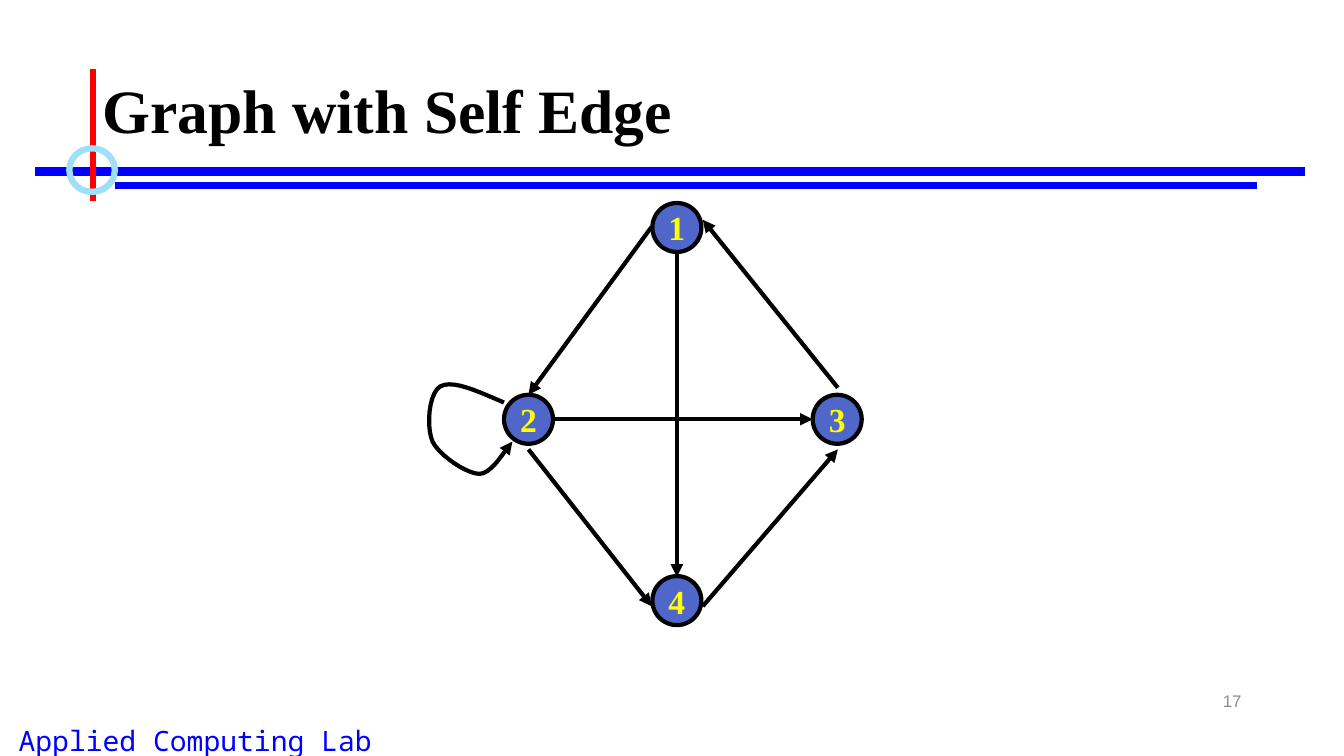
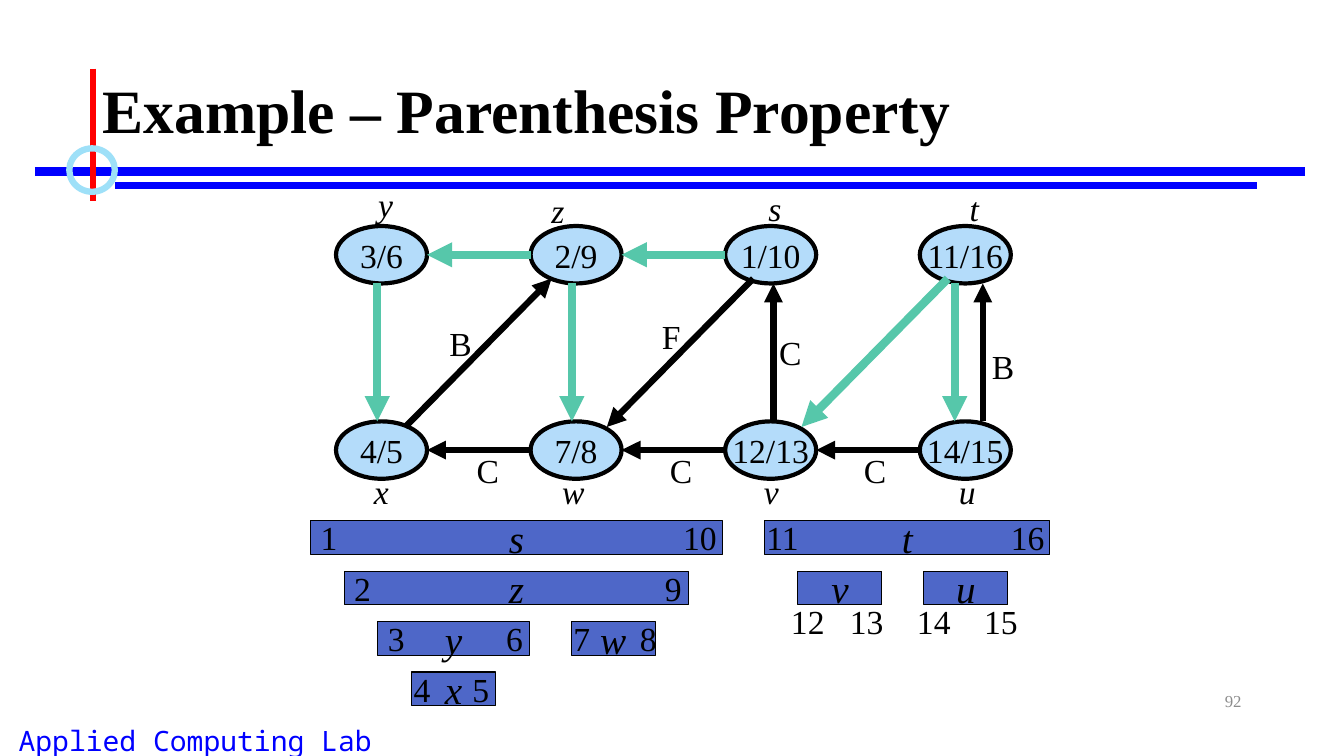
from itertools import accumulate

from lxml import etree
from pptx import Presentation
from pptx.dml.color import RGBColor
from pptx.enum.shapes import MSO_CONNECTOR, MSO_SHAPE
from pptx.enum.text import MSO_ANCHOR, MSO_AUTO_SIZE, PP_ALIGN
from pptx.oxml.ns import qn
from pptx.util import Pt

STRAIGHT = MSO_CONNECTOR.STRAIGHT
OVAL, RECT = MSO_SHAPE.OVAL, MSO_SHAPE.RECTANGLE
TOP, MIDDLE = MSO_ANCHOR.TOP, MSO_ANCHOR.MIDDLE
LEFT, CENTER, RIGHT = PP_ALIGN.LEFT, PP_ALIGN.CENTER, PP_ALIGN.RIGHT
FIXED = MSO_AUTO_SIZE.NONE

SERIF, SANS, MONO = "Times New Roman", "Arial", "Noto Sans Mono"
BLACK, BLUE, RED, YELLOW = "000000", "0000FF", "FF0000", "FFFF00"
INDIGO, SKY, PALE, TEAL, GRAY = "4E67C8", "9EE0F8", "B4DCFA", "56C7AA", "8C8C8C"

# Shared frame: x1, y1, x2, y2, colour, width
RULES = [
    (25, 122.5, 932.5, 122.5, BLUE, 6),
    (82, 132.5, 898, 132.5, BLUE, 4.5),
    (66.5, 49, 66.5, 143.5, RED, 4.5),
]

# Self-edge graph: node centres, edges as end points, loop as cubic curves
SIZE = 35
NODES = {"1": (483.5, 162.5), "2": (377.5, 299.5),
         "3": (598, 299.5), "4": (483.5, 429)}
EDGES = [
    (483.5, 180, 483.5, 412), (395, 299.5, 580.5, 299.5),
    (465.5, 162, 377.5, 282), (377.5, 321, 465.5, 433),
    (502, 433, 598.5, 321), (598.5, 277, 502, 157),
]
LOOP = [
    [(360, 287.5), (341, 279.5), (323.5, 271), (314.5, 276)],
    [(314.5, 276), (306, 281), (304.5, 305.5), (309, 315.5)],
    [(309, 315.5), (314, 325.5), (333.5, 338.5), (342.5, 338.5)],
    [(342.5, 338.5), (352, 338.5), (362, 319), (366, 315.5)],
]

# Search graph: rows of visit times on a grid
ROWS = [["3/6", "2/9", "1/10", "11/16"], ["4/5", "7/8", "12/13", "14/15"]]
X0, STEP, WIDE = 240, 139, 65
ROW_TOP, TALL = [161.5, 301], 41
ACROSS = [(0, 0, TEAL), (0, 1, TEAL), (1, 0, BLACK), (1, 1, BLACK), (1, 2, BLACK)]
OTHER = [
    (269.5, 202.5, 269.5, 301, TEAL), (408.5, 202.5, 408.5, 301, TEAL),
    (682, 202.5, 682, 301, TEAL), (552.5, 301, 552.5, 202.5, BLACK),
    (702, 301, 702, 202.5, BLACK), (289.5, 305, 394, 199, BLACK),
    (538, 199, 433.5, 305, BLACK), (677, 199, 572.5, 305, TEAL),
]
NAMES = [
    ("y", 275.5, 127.5), ("z", 398.5, 132), ("s", 553.5, 131), ("t", 696, 131),
    ("x", 272.5, 332.5), ("w", 409.5, 332.5), ("v", 551, 332.5), ("u", 691, 332.5),
]
KINDS = [
    ("B", 329, 227), ("F", 479.5, 222), ("C", 564.5, 233.5), ("B", 716.5, 243.5),
    ("C", 348.5, 317.5), ("C", 486.5, 317.5), ("C", 625, 317.5),
]

# Intervals: each vertex opens and closes once; gaps lead to each event
EVENTS = "szyxxywwzstvvuut"
GAPS = [222, 24, 24, 24, 60, 24, 30, 60, 24, 24, 30, 24, 60, 30, 60, 30]
BAR_TOP, BAR_STEP, BAR_TALL = 372, 36, 24
# Number centres from the bar's left and right ends, and from its top
INSETS = {
    "s": (13, -16, -6), "z": (13, -11, -6), "y": (13, -10.5, -6),
    "x": (7.5, -10.5, -6), "w": (7.5, -5, -6), "t": (13, -16, -6),
    "v": (7, -11, 18), "u": (7, -5, 18),
}


def color(code):
    return RGBColor.from_string(code)


def write(shape, text, size, font=SERIF, ink=BLACK, align=CENTER, anchor=TOP,
          bold=False, italic=False, wrap=False):
    frame = shape.text_frame
    frame.text = text
    frame.auto_size = FIXED
    frame.word_wrap = wrap
    frame.vertical_anchor = anchor
    para = frame.paragraphs[0]
    para.alignment = align
    face = para.runs[0].font
    face.name, face.size = font, Pt(size)
    face.bold, face.italic = bold, italic
    face.color.rgb = color(ink)
    return para


def box(slide, x, y, w, h, text, size, **style):
    shape = slide.shapes.add_textbox(Pt(x), Pt(y), Pt(w), Pt(h))
    write(shape, text, size, **style)


def label(slide, text, x, y, italic=False):
    """Add a short text centred on x."""
    box(slide, x - 22, y, 44, 36, text, 24, italic=italic)


def stroke(item, ink, width, arrow=False):
    item.line.color.rgb = color(ink)
    item.line.width = Pt(width)
    props = item._element.spPr
    if arrow:
        etree.SubElement(props.find(qn("a:ln")), qn("a:tailEnd"), type="triangle")
    return props


def line(slide, x1, y1, x2, y2, ink=BLACK, width=3, arrow=True):
    item = slide.shapes.add_connector(STRAIGHT, Pt(x1), Pt(y1), Pt(x2), Pt(y2))
    props = stroke(item, ink, width, arrow)
    etree.SubElement(props, qn("a:effectLst"))


def block(slide, kind, x, y, w, h, fill, ink=BLACK, width=3):
    shape = slide.shapes.add_shape(kind, Pt(x), Pt(y), Pt(w), Pt(h))
    shape.shadow.inherit = False
    if fill:
        shape.fill.solid()
        shape.fill.fore_color.rgb = color(fill)
    else:
        shape.fill.background()
    stroke(shape, ink, width)
    return shape


def start(deck, title, number, font):
    """Add a slide with the shared frame, title and number."""
    slide = deck.slides.add_slide(deck.slide_layouts[5])
    head = slide.shapes.title
    head.left, head.top, head.width, head.height = Pt(66), Pt(29), Pt(828), Pt(104)
    para = write(head, title, 44, align=LEFT, anchor=MIDDLE, bold=True, wrap=True)
    para.line_spacing = 0.9
    box(slide, 0, 513.5, 279, 26, "Applied Computing Lab", 20, font=MONO, ink=BLUE)
    for rule in RULES:
        line(slide, *rule, arrow=False)
    block(slide, OVAL, 49.5, 106, 32.5, 31, None, SKY, 4.5)
    box(slide, 678, 486, 216, 29, number, 12, font=font, ink=GRAY,
        align=RIGHT, anchor=MIDDLE, wrap=True)
    return slide


def bezier(curve, t):
    s = 1 - t
    parts = (s ** 3, 3 * s * s * t, 3 * s * t * t, t ** 3)
    return tuple(Pt(sum(k * p[axis] for k, p in zip(parts, curve)))
                 for axis in (0, 1))


def loop(slide):
    dots = [bezier(curve, i / 10) for curve in LOOP for i in range(1, 11)]
    path = slide.shapes.build_freeform(*bezier(LOOP[0], 0))
    path.add_line_segments(dots, close=False)
    shape = path.convert_to_shape()
    shape.shadow.inherit = False
    shape.fill.background()
    stroke(shape, BLACK, 3, arrow=True)


def self_edge(deck):
    slide = start(deck, "Graph with Self Edge", "17", SANS)
    for name, (x, y) in NODES.items():
        node = block(slide, OVAL, x - SIZE / 2, y - SIZE / 2, SIZE, SIZE, INDIGO)
        write(node, name, 24, ink=YELLOW, anchor=MIDDLE, bold=True)
    for edge in EDGES:
        line(slide, *edge)
    loop(slide)


def search(slide):
    for row, top in zip(ROWS, ROW_TOP):
        for col, times in enumerate(row):
            node = block(slide, OVAL, X0 + col * STEP, top, WIDE, TALL, PALE)
            write(node, times, 24, anchor=MIDDLE)
    paths = list(OTHER)
    for row, col, ink in ACROSS:
        y = ROW_TOP[row] + TALL / 2
        end = X0 + col * STEP
        paths.append((end + STEP, y, end + WIDE, y, ink))
    for *ends, ink in paths:
        line(slide, *ends, ink, 6 if ink == TEAL else 4.5)
    for name in NAMES:
        label(slide, *name, italic=True)
    for kind in KINDS:
        label(slide, *kind)


def spans(slide):
    """Draw one bar per vertex, nested by open and close time."""
    stack = []
    for time, (name, x) in enumerate(zip(EVENTS, accumulate(GAPS)), 1):
        if not stack or stack[-1][0] != name:
            stack.append((name, time, x))
            continue
        _, first, left = stack.pop()
        top = BAR_TOP + len(stack) * BAR_STEP
        bar = block(slide, RECT, left, top, x - left, BAR_TALL, INDIGO, BLACK, 0.75)
        write(bar, name, 28, anchor=MIDDLE, italic=True)
        begin, end, drop = INSETS[name]
        label(slide, str(first), left + begin, top + drop)
        label(slide, str(time), x + end, top + drop)


def main():
    deck = Presentation()
    deck.slide_width, deck.slide_height = Pt(960), Pt(540)
    self_edge(deck)
    slide = start(deck, "Example – Parenthesis Property", "92", SERIF)
    search(slide)
    spans(slide)
    deck.save("out.pptx")


if __name__ == "__main__":
    main()
